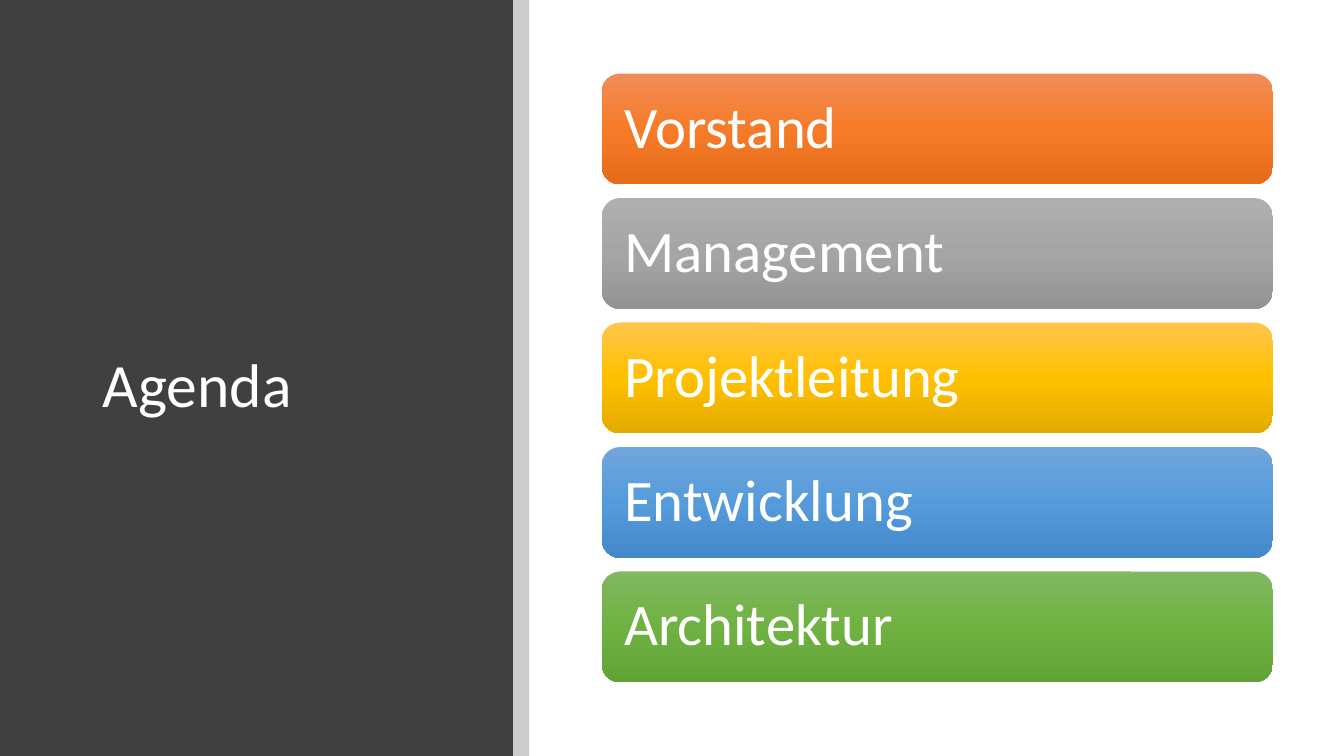
from copy import deepcopy
from dataclasses import dataclass

from lxml import etree
from pptx import Presentation
from pptx import util as u
from pptx.dml.color import RGBColor
from pptx.enum import shapes, text
from pptx.oxml.ns import qn

EMU_PER_PX = 4572


@dataclass(frozen=True)
class Theme:
    font: str = "Calibri"
    text: str = "FFFFFF"
    panel: str = "404040"
    strip: str = "000000"
    strip_alpha: int = 20
    title_pt: int = 44
    item_pt: int = 42


@dataclass(frozen=True)
class Box:
    left: int
    top: int
    width: int
    height: int

    def emu(self) -> list[u.Emu]:
        return [px(n) for n in (self.left, self.top, self.width, self.height)]


@dataclass(frozen=True)
class AgendaItem:
    label: str
    gradient: tuple[str, str, str]


THEME = Theme()
SLIDE = Box(0, 0, 2667, 1500)
PANEL = Box(0, 0, 1018, 1500)
STRIP = Box(1018, 0, 32, 1500)
TITLE = Box(184, 178, 730, 1182)
FIRST_ITEM = Box(1194, 146, 1332, 220)
ITEM_PITCH = 247
TITLE_INSET = 20
ITEM_INSET = 34

ITEMS = [
    AgendaItem("Vorstand", ("F18C57", "F67B28", "E56C19")),
    AgendaItem("Management", ("AFAFAF", "A5A5A5", "939393")),
    AgendaItem("Projektleitung", ("FFC64B", "FFC000", "E3AB00")),
    AgendaItem("Entwicklung", ("71A6DB", "559BDB", "448ACA")),
    AgendaItem("Architektur", ("81B861", "6FB242", "62A336")),
]


def px(n: int) -> u.Emu:
    return u.Emu(n * EMU_PER_PX)


def add_block(slide, kind: shapes.MSO_SHAPE, box: Box):
    sp = slide.shapes.add_shape(kind, *box.emu())
    sp.shadow.inherit = False
    sp.line.fill.background()
    return sp


def add_rect(slide, box: Box, color: str, alpha: int = 100) -> None:
    sp = add_block(slide, shapes.MSO_SHAPE.RECTANGLE, box)
    sp.fill.solid()
    sp.fill.fore_color.rgb = RGBColor.from_string(color)
    if alpha < 100:
        clr = sp._element.spPr.find(qn("a:solidFill")).find(qn("a:srgbClr"))
        etree.SubElement(clr, qn("a:alpha")).set("val", str(alpha * 1000))


def set_gradient(sp, colors: tuple[str, str, str]) -> None:
    sp.fill.gradient()
    sp.fill.gradient_angle = 270
    stops = sp._element.spPr.find(qn("a:gradFill")).find(qn("a:gsLst"))
    stops.append(deepcopy(stops[-1]))
    for i, (stop, color) in enumerate(zip(sp.fill.gradient_stops, colors)):
        stop.position = i / 2
        stop.color.rgb = RGBColor.from_string(color)


def set_text(sp, label: str, size: int, inset: int) -> None:
    tf = sp.text_frame
    tf.word_wrap = True
    tf.vertical_anchor = text.MSO_ANCHOR.MIDDLE
    tf.margin_left = tf.margin_right = px(inset)
    tf.margin_top = tf.margin_bottom = px(inset)
    p = tf.paragraphs[0]
    p.text = label
    p.alignment = text.PP_ALIGN.LEFT
    p.line_spacing = 0.9
    p.font.name = THEME.font
    p.font.size = u.Pt(size)
    p.font.color.rgb = RGBColor.from_string(THEME.text)


def add_item(slide, item: AgendaItem, index: int) -> None:
    top = FIRST_ITEM.top + index * ITEM_PITCH
    box = Box(FIRST_ITEM.left, top, FIRST_ITEM.width, FIRST_ITEM.height)
    sp = add_block(slide, shapes.MSO_SHAPE.ROUNDED_RECTANGLE, box)
    set_gradient(sp, item.gradient)
    set_text(sp, item.label, THEME.item_pt, ITEM_INSET)


def main() -> None:
    prs = Presentation()
    prs.slide_width, prs.slide_height = px(SLIDE.width), px(SLIDE.height)
    s = prs.slides.add_slide(prs.slide_layouts[6])
    add_rect(s, PANEL, THEME.panel)
    set_text(s.shapes.add_textbox(*TITLE.emu()), "Agenda", THEME.title_pt, TITLE_INSET)
    add_rect(s, STRIP, THEME.strip, THEME.strip_alpha)
    for i, item in enumerate(ITEMS):
        add_item(s, item, i)
    prs.save("out.pptx")


if __name__ == "__main__":
    main()
